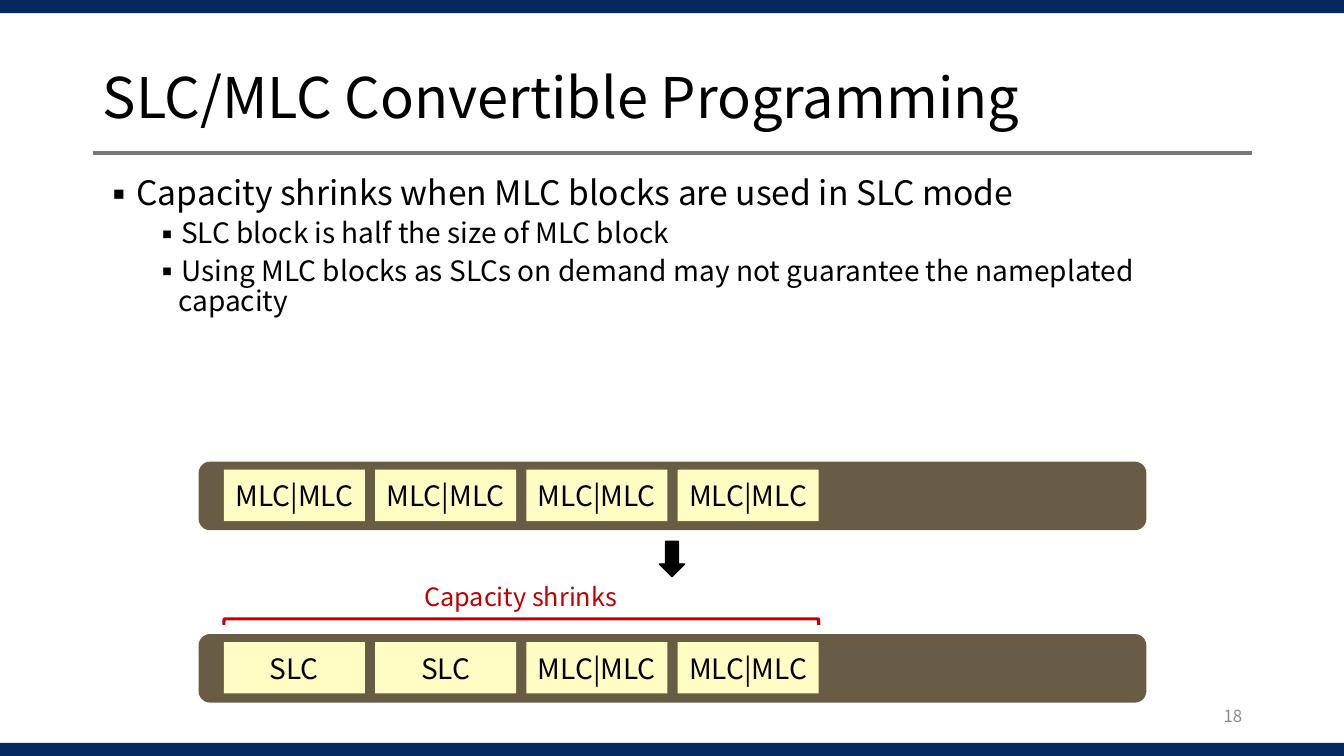
from lxml.etree import SubElement
from pptx import Presentation
from pptx.dml.color import RGBColor
from pptx.enum.shapes import MSO_CONNECTOR, MSO_SHAPE as Kind
from pptx.enum.text import MSO_ANCHOR as Anchor, MSO_AUTO_SIZE as Fit, PP_ALIGN as Align
from pptx.oxml.ns import qn
from pptx.util import Pt

PX = 9144  # 100 px to the inch
FONT = "Noto Sans CJK KR"
BLACK = RGBColor(0x00, 0x00, 0x00)
NAVY = RGBColor(0x03, 0x27, 0x5E)
RULE = RGBColor(0x79, 0x77, 0x78)
GREY = RGBColor(0x8C, 0x8C, 0x8C)
BROWN = RGBColor(0x69, 0x5C, 0x45)
CREAM = RGBColor(0xFF, 0xFC, 0xC4)
RED = RGBColor(0xC0, 0x00, 0x00)


def write(para, text, size, color=BLACK, **form):
    para.text = text
    for key, value in form.items():
        setattr(para, key, value)
    for key, value in {"name": FONT, "size": Pt(size)}.items():
        setattr(para.font, key, value)
    para.font.color.rgb = color


def draw(kind, box, fill=None):
    shape = slide.shapes.add_shape(kind, *(n * PX for n in box))
    shape.shadow.inherit = False
    shape.line.fill.background()
    if fill is None:
        shape.fill.background()
    else:
        shape.fill.solid()
        shape.fill.fore_color.rgb = fill
    return shape


deck = Presentation()
deck.slide_width, deck.slide_height = 1333 * PX, 750 * PX
slide = deck.slides.add_slide(deck.slide_layouts[1])
title, body = slide.placeholders

# Frame: navy bands and the rule under the title
for top in (0, 737):
    draw(Kind.RECTANGLE, (0, top, 1333, 13), NAVY)
rule = slide.shapes.add_connector(
    MSO_CONNECTOR.STRAIGHT, 92 * PX, 152 * PX, 1242 * PX, 152 * PX)
rule.line.color.rgb = RULE
rule.line.width = Pt(3)
SubElement(rule._element.spPr, qn("a:effectLst"))

# Title and list
for holder, top, high, anchor in (
        (title, 51, 98, Anchor.MIDDLE), (body, 170, 506, Anchor.TOP)):
    place = {"left": 92, "top": top, "width": 1150, "height": high}
    for key, value in place.items():
        setattr(holder, key, value * PX)
    form = {"word_wrap": True, "auto_size": Fit.NONE, "vertical_anchor": anchor}
    for key, value in form.items():
        setattr(holder.text_frame, key, value)

write(title.text_frame.paragraphs[0], "SLC/MLC Convertible Programming", 40,
      alignment=Align.LEFT, line_spacing=0.9)

points = (
    (0, "Capacity shrinks when MLC blocks are used in SLC mode"),
    (1, "SLC block is half the size of MLC block"),
    (1, "Using MLC blocks as SLCs on demand may not guarantee the nameplated capacity"),
)
for n, (level, text) in enumerate(points):
    para = body.text_frame.add_paragraph() if n else body.text_frame.paragraphs[0]
    props = para._p.get_or_add_pPr()
    props.set("marL", str((25 + 50 * level) * PX))
    props.set("indent", str(-25 * PX))
    SubElement(props, qn("a:buFont"), typeface=FONT)
    SubElement(props, qn("a:buChar"), char="▪")
    write(para, text, 20 if level else 24, level=level, line_spacing=0.9,
          space_before=Pt(5 if n else 0))

# Two block rows: before and after the switch to SLC mode
rows = ((458, ["MLC|MLC"] * 4), (629, ["SLC"] * 2 + ["MLC|MLC"] * 2))
for top, cells in rows:
    draw(Kind.ROUNDED_RECTANGLE, (197, top, 940, 68), BROWN)
    for col, text in enumerate(cells):
        cell = draw(Kind.RECTANGLE, (222 + 150 * col, top + 8, 140, 51), CREAM)
        frame = cell.text_frame
        form = {"word_wrap": False, "vertical_anchor": Anchor.MIDDLE,
                "margin_left": 13 * PX, "margin_right": 13 * PX,
                "margin_top": 6 * PX, "margin_bottom": 6 * PX}
        for key, value in form.items():
            setattr(frame, key, value)
        write(frame.paragraphs[0], text, 20, alignment=Align.CENTER)

# Arrow between the rows and bracket over the lower one
arrow = draw(Kind.DOWN_ARROW, (654, 537, 25, 35), BLACK)
brace = draw(Kind.LEFT_BRACKET, (514, 322, 6, 590))
brace.rotation = 90
for shape, color, width in ((arrow, BLACK, 1), (brace, RED, 2.25)):
    shape.line.color.rgb = color
    shape.line.width = Pt(width)

# Bracket label and page number
labels = (
    ((409, 572, 215, 40), "Capacity shrinks", 18, RED, Align.CENTER, Anchor.TOP, False),
    ((942, 690, 300, 40), "18", 12, GREY, Align.RIGHT, Anchor.MIDDLE, True),
)
for box, text, size, color, align, anchor, wrap in labels:
    frame = slide.shapes.add_textbox(*(n * PX for n in box)).text_frame
    frame.word_wrap = wrap
    frame.vertical_anchor = anchor
    write(frame.paragraphs[0], text, size, color, alignment=align)

deck.save("out.pptx")
